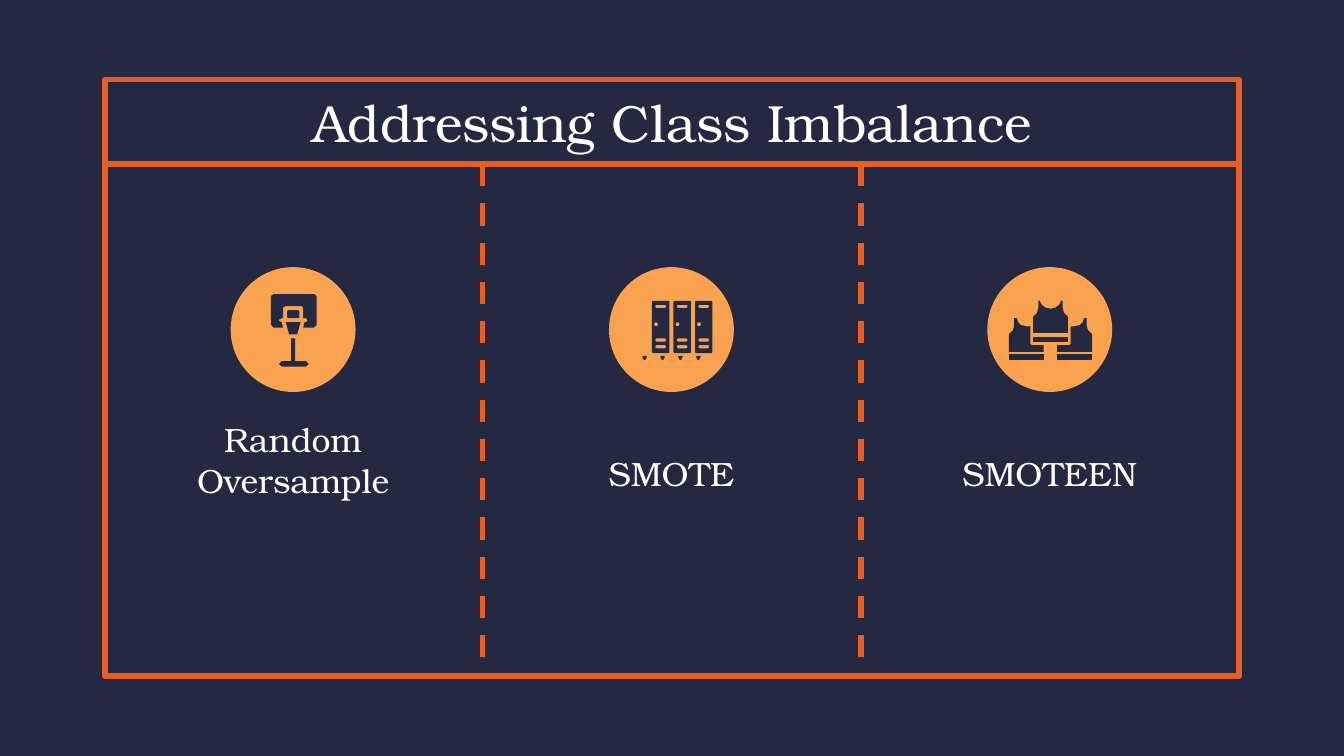
from dataclasses import dataclass
from math import cos, pi, sin

from lxml.etree import SubElement
from pptx import Presentation
from pptx.dml.color import RGBColor as RGB
from pptx.enum.dml import MSO_LINE
from pptx.enum.shapes import MSO_CONNECTOR as CONN, MSO_SHAPE as SHAPE
from pptx.enum.text import MSO_ANCHOR as ANCHOR, PP_ALIGN as ALIGN
from pptx.oxml.ns import qn
from pptx.util import Cm, Pt


@dataclass
class Theme:
    back: RGB = RGB.from_string("242841")
    rule: RGB = RGB.from_string("E95E24")
    disc: RGB = RGB.from_string("F9A350")
    text: RGB = RGB.from_string("FFFFFF")
    font: str = "TeX Gyre Bonum"
    title: Pt = Pt(28)
    label: Pt = Pt(18)
    line: Pt = Pt(3)


def round_rect(x, y, w, h, r):
    corners = [(x + w - r, y + h - r), (x + r, y + h - r),
               (x + r, y + r), (x + w - r, y + r)]
    return [(cx + r * cos(a), cy + r * sin(a))
            for q, (cx, cy) in enumerate(corners)
            for a in [(q + k / 4) * pi / 2 for k in range(5)]]


def shift(points, dx, dy):
    return [(x + dx, y + dy) for x, y in points]


def mirror(points, axis):
    return [(2 * axis - x, y) for x, y in points]


TITLE = "Addressing Class Imbalance"

HOOP = [
    [[(41, 41), (43.5, 50), (49.5, 50), (52, 41)]],
    [[(45, 53), (45, 70), (38, 70), (36, 72), (38, 74), (56, 74), (58, 72),
      (56, 70), (48, 70), (48, 53)]],
    [[(32, 20), (30, 21.5), (30, 43), (32, 45), (39, 45), (38, 41), (36, 40),
      (36, 39), (38, 38), (39, 38), (39, 30), (41, 29), (53, 29), (54, 30),
      (54, 38), (56, 38), (57, 39), (57, 40), (56, 41), (55, 41), (54, 45),
      (62, 45), (64, 43), (64, 21.5), (62, 20)]],
    [round_rect(42, 32, 9, 6, 1.2)],
]

LOCKER = [round_rect(0, 0, 13, 39, 1.2), round_rect(1.5, 16, 3, 3, 1.5)] + [
    round_rect(2.5, y, 8, 2.4, 1.2) for y in (3, 28, 33)]
FOOT = [(0, 0), (0, 1.5), (1, 3), (2, 3), (3, 1.5), (3, 0)]
LOCKERS = [[shift(c, 32 + 16 * i, 25) for c in LOCKER] for i in range(3)] + [
    [shift(FOOT, 25 + 40 / 3 * i, 66)] for i in range(4)]

AXIS = 47
HEM = [(0, 0), (26, 0), (26, 4), (0, 4)]
HALF_SHIRT = [(13, 6), (9, 5), (6.5, 3), (5, 0), (4, 0), (4, 5), (3, 9),
              (0, 12), (0, 24)]
SHIRT = shift(HALF_SHIRT + mirror(HALF_SHIRT, 13)[::-1], 34, 25)
SIDE_SHIRT = shift([(20, 0), (19, 3), (17, 5), (13, 6), (10, 6), (10, 19),
                    (9, 20), (0, 20), (0, 25), (26, 25), (26, 12), (23, 9),
                    (22, 6), (22, 0)], 52, 38)
SIDE_HEM = shift(HEM, 52, 65)
SHIRTS = [[c] for c in (SIDE_HEM, mirror(SIDE_HEM, AXIS), shift(HEM, 34, 52),
                        SHIRT, SIDE_SHIRT, mirror(SIDE_SHIRT, AXIS))]

METHODS = [("Random Oversample", HOOP, Cm(1.93)),
           ("SMOTE", LOCKERS, Cm(1.4)),
           ("SMOTEEN", SHIRTS, Cm(1.4))]

T = Theme()
FRAME = Cm(1.98), Cm(1.5), Cm(21.44), Cm(11.28)
HEAD_H = Cm(1.6)
FIRST_CENTRE, PITCH = Cm(5.54), Cm(7.15)
FIRST_DIVIDER = Cm(9.12)
DISC, DISC_TOP = Cm(2.36), Cm(5.05)
LABEL_W, LABEL_BOTTOM = Cm(5.94), Cm(9.65)
ICON_UNIT = Cm(2.54) / 100


def add_rule(s, x1, y1, x2, y2, dash=None):
    c = s.shapes.add_connector(CONN.STRAIGHT, x1, y1, x2, y2)
    c.line.color.rgb, c.line.width = T.rule, T.line
    c.line.dash_style = dash
    SubElement(c._element.spPr, qn("a:effectLst"))


def add_text(s, text, size, x, y, w, h, after=0):
    tf = s.shapes.add_textbox(x, y, w, h).text_frame
    tf.word_wrap, tf.vertical_anchor = True, ANCHOR.MIDDLE
    tf.margin_left = tf.margin_right = Cm(0.25)
    tf.margin_top = tf.margin_bottom = Cm(0.25)
    p = tf.paragraphs[0]
    p.text, p.alignment, p.space_after = text, ALIGN.CENTER, Pt(after)
    p.font.name, p.font.size, p.font.color.rgb = T.font, size, T.text


def paint(sp, color):
    sp.shadow.inherit = False
    sp.fill.solid()
    sp.fill.fore_color.rgb = color
    sp.line.fill.background()


def add_icon(s, parts, x, y):
    group = s.shapes.add_group_shape()
    for contours in parts:
        outlines = [[(px * ICON_UNIT, py * ICON_UNIT) for px, py in c]
                    for c in contours]
        builder = group.shapes.build_freeform(*outlines[0][0])
        for i, outline in enumerate(outlines):
            if i:
                builder.move_to(*outline[0])
            builder.add_line_segments(outline[1:], close=True)
        paint(builder.convert_to_shape(x, y), T.back)


def main():
    prs = Presentation()
    prs.slide_width, prs.slide_height = Cm(25.4), Cm(14.29)
    s = prs.slides.add_slide(prs.slide_layouts[6])
    s.background.fill.solid()
    s.background.fill.fore_color.rgb = T.back

    left, top, width, height = FRAME
    frame = s.shapes.add_shape(SHAPE.RECTANGLE, *FRAME)
    frame.shadow.inherit = False
    frame.fill.background()
    frame.line.color.rgb, frame.line.width = T.rule, T.line
    SubElement(frame.line._get_or_add_ln(), qn("a:round"))

    head_bottom = top + HEAD_H
    add_rule(s, left, head_bottom, left + width, head_bottom)
    for i in range(len(METHODS) - 1):
        x = FIRST_DIVIDER + i * PITCH
        add_rule(s, x, head_bottom, x, top + height, MSO_LINE.DASH)
    add_text(s, TITLE, T.title, left, top, width, HEAD_H)

    for i, (label, icon, label_h) in enumerate(METHODS):
        centre = FIRST_CENTRE + i * PITCH
        x = centre - DISC // 2
        paint(s.shapes.add_shape(SHAPE.OVAL, x, DISC_TOP, DISC, DISC), T.disc)
        add_icon(s, icon, x, DISC_TOP)
        add_text(s, label, T.label, centre - LABEL_W // 2,
                 LABEL_BOTTOM - label_h, LABEL_W, label_h, after=12)

    prs.save("out.pptx")


if __name__ == "__main__":
    main()
